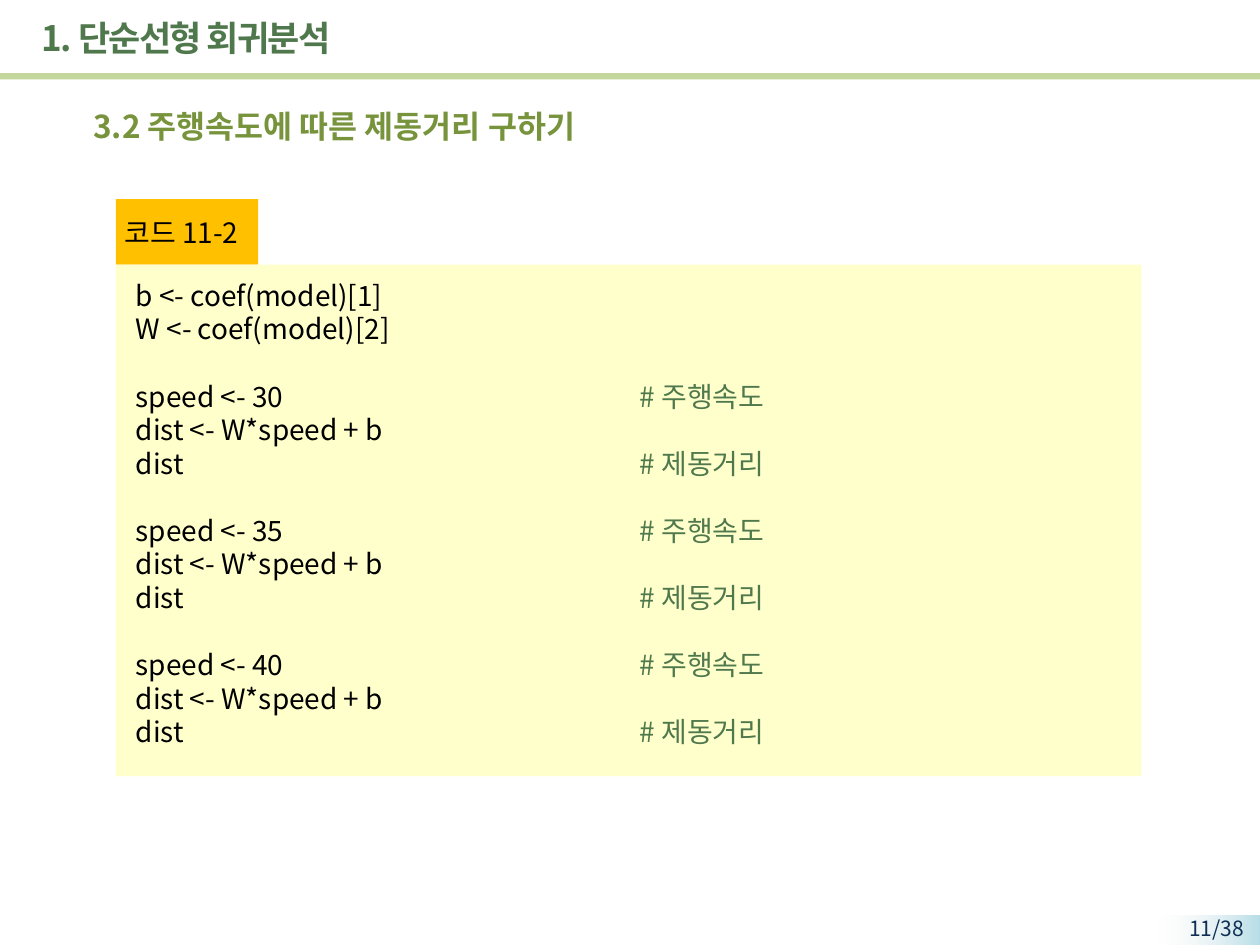
from pptx import Presentation
from pptx.dml.color import RGBColor
from pptx.enum.shapes import MSO_SHAPE
from pptx.enum.text import MSO_ANCHOR, PP_ALIGN
from pptx.oxml.ns import qn
from pptx.util import Inches, Pt
from lxml import etree

RECT = MSO_SHAPE.RECTANGLE
TOP, MIDDLE = MSO_ANCHOR.TOP, MSO_ANCHOR.MIDDLE
LEFT, RIGHT = PP_ALIGN.LEFT, PP_ALIGN.RIGHT

FONT = "Noto Sans CJK KR"
LINE_HEIGHT = 1.2
BLACK = RGBColor(0x00, 0x00, 0x00)
GREEN = RGBColor(0x4F, 0x78, 0x4C)
OLIVE = RGBColor(0x77, 0x93, 0x3C)
LIGHT_GREEN = RGBColor(0xC3, 0xD6, 0x9B)
AMBER = RGBColor(0xFF, 0xC0, 0x00)
CREAM = RGBColor(0xFF, 0xFF, 0xCC)
NAVY = RGBColor(0x0F, 0x2E, 0x53)
PALE_BLUE = RGBColor(0xB7, 0xDE, 0xE8)
PALE_GRAY = RGBColor(0xF2, 0xF2, 0xF2)

# Content
CHAPTER = "1. 단순선형 회귀분석"
SECTION = "3.2 주행속도에 따른 제동거리 구하기"
CODE_LABEL = "코드 11-2"
PAGE = "11/38"
SPEEDS = [30, 35, 40]
# Each block is a list of (code, comment) lines
CODE_BLOCKS = [[("b <- coef(model)[1]", ""), ("W <- coef(model)[2]", "")]] + [
    [(f"speed <- {speed}", "# 주행속도"),
     ("dist <- W*speed + b", ""),
     ("dist", "# 제동거리")]
    for speed in SPEEDS
]
CODE_SIZE = 16
COMMENT_TAB = Inches(4)


def add_run(paragraph, text, size, color, bold=False):
    run = paragraph.add_run()
    run.text = text
    run.font.size, run.font.name, run.font.bold = Pt(size), FONT, bold
    run.font.color.rgb = color
    east_asian = etree.SubElement(run.font._element, qn("a:ea"))
    east_asian.set("typeface", FONT)
    paragraph.line_spacing = Pt(size * LINE_HEIGHT)
    return run


def place(shape, left, top, width, height):
    shape.left, shape.top = Inches(left), Inches(top)
    shape.width, shape.height = Inches(width), Inches(height)


def add_block(slide, left, top, width, height, color=None):
    block = slide.shapes.add_shape(
        RECT, Inches(left), Inches(top), Inches(width), Inches(height))
    block.shadow.inherit = False
    block.line.fill.background()
    if color is not None:
        block.fill.solid()
        block.fill.fore_color.rgb = color
    return block


def add_frame(slide, left, top, width, height, wrap=True):
    frame = slide.shapes.add_textbox(
        Inches(left), Inches(top), Inches(width), Inches(height)).text_frame
    frame.word_wrap = wrap
    return frame


prs = Presentation()
prs.slide_width, prs.slide_height = Inches(10), Inches(7.5)
slide = prs.slides.add_slide(prs.slide_layouts[1])

# Page number on a fading corner
corner = add_block(slide, 9.2, 7.27, 0.8, 0.24)
corner.fill.gradient()
corner.fill.gradient_angle = 180
for stop, color in zip(corner.fill.gradient_stops, (PALE_BLUE, PALE_GRAY)):
    stop.color.rgb = color
clear_color = corner._element.spPr.findall(".//" + qn("a:srgbClr"))[-1]
etree.SubElement(clear_color, qn("a:alpha")).set("val", "0")

page = add_frame(slide, 9.05, 7.22, 0.92, 0.23).paragraphs[0]
page.alignment = RIGHT
add_run(page, PAGE, 12, NAVY)

# Chapter title and rule
add_block(slide, 0, 0.58, 10, 0.05, LIGHT_GREEN)
title = slide.shapes.title
place(title, 0.23, 0.04, 8.51, 0.52)
title.text_frame.vertical_anchor = MIDDLE
chapter = title.text_frame.paragraphs[0]
chapter.alignment = LEFT
chapter_run = add_run(chapter, CHAPTER, 20, GREEN, bold=True)
chapter_run.font._element.set("spc", "-100")

# Section heading
body = slide.placeholders[1]
place(body, 0.47, 0.8, 9.35, 6.2)
body.text_frame.vertical_anchor = TOP
section = body.text_frame.paragraphs[0]
add_run(section, SECTION, 18, OLIVE, bold=True)
section_props = section._p.get_or_add_pPr()
section_props.set("marL", str(Inches(0.17)))
section_props.set("indent", "0")
etree.SubElement(section_props, qn("a:buNone"))

# Code label and panel
add_block(slide, 0.92, 1.58, 1.13, 0.52, AMBER)
add_block(slide, 0.92, 2.1, 8.14, 4.06, CREAM)
label = add_frame(slide, 0.89, 1.66, 1.2, 0.37, wrap=False)
add_run(label.paragraphs[0], CODE_LABEL, CODE_SIZE, BLACK)

# Code lines, with comments aligned at a tab stop
code_frame = add_frame(slide, 0.98, 2.16, 7.76, 3.87)
line = code_frame.paragraphs[0]
for block_index, block in enumerate(CODE_BLOCKS):
    for line_index, (code, comment) in enumerate(block):
        if block_index or line_index:
            line = code_frame.add_paragraph()
        if block_index and not line_index:
            line.space_before = Pt(CODE_SIZE * LINE_HEIGHT)
        add_run(line, code + ("\t" if comment else ""), CODE_SIZE, BLACK)
        if comment:
            add_run(line, comment, CODE_SIZE, GREEN)
            tabs = etree.SubElement(line._p.get_or_add_pPr(), qn("a:tabLst"))
            tab = etree.SubElement(tabs, qn("a:tab"))
            tab.set("pos", str(COMMENT_TAB))
            tab.set("algn", "l")

prs.save("out.pptx")
